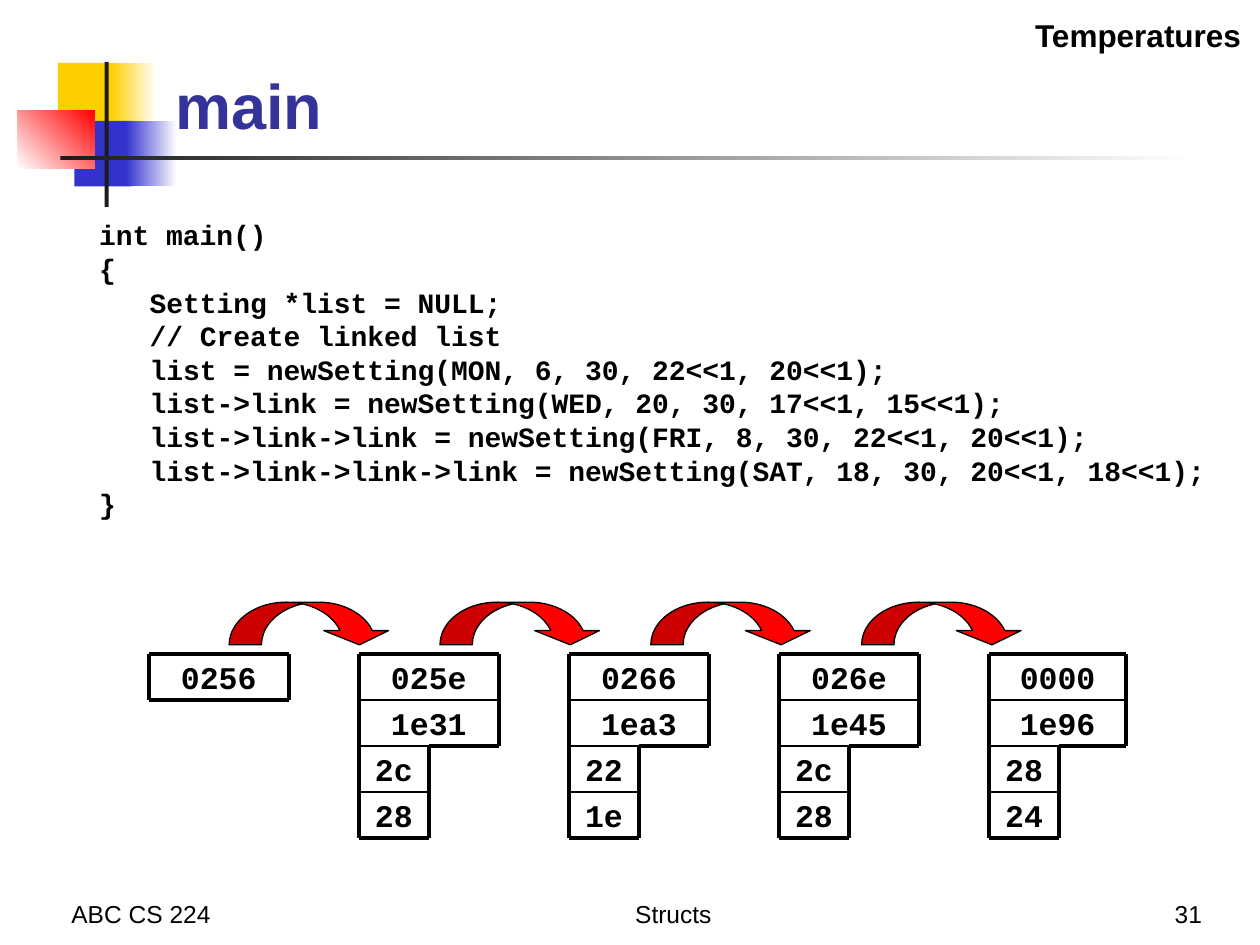
from lxml import etree
from pptx import Presentation
from pptx.dml.color import RGBColor
from pptx.enum import shapes, text
from pptx.oxml.ns import qn
from pptx.util import Cm, Pt

COLORS = {"black": "000000", "ink": "1C1C1C", "white": "FFFFFF", "yellow": "FFCF01",
          "blue": "3333CC", "red": "FF0000", "title": "333399"}

# left, top, width, height in cm, start colour, end colour, angle
DECOR = [
    (1.17, 1.27, 1.22, 1.32, "yellow", None, 0),
    (2.24, 1.27, 0.91, 1.32, "yellow", "white", 0),
    (1.5, 2.44, 1.17, 1.32, "blue", None, 0),
    (2.54, 2.44, 1.02, 1.32, "blue", "white", 0),
    (0.36, 2.22, 1.55, 1.18, "white", "red", 45),
    (2.11, 1.25, 0.08, 2.92, "ink", None, 0),
    (1.22, 3.15, 22.86, 0.08, "ink", "white", 0),
]
# indent level, code
CODE = [
    (0, "int main()"),
    (0, "{"),
    (1, "Setting *list = NULL;"),
    (1, "// Create linked list"),
    (1, "list = newSetting(MON, 6, 30, 22<<1, 20<<1);"),
    (1, "list->link = newSetting(WED, 20, 30, 17<<1, 15<<1);"),
    (1, "list->link->link = newSetting(FRI, 8, 30, 22<<1, 20<<1);"),
    (1, "list->link->link->link = newSetting(SAT, 18, 30, 20<<1, 18<<1);"),
    (0, "}"),
]
NODES = [["0256"], ["025e", "1e31", "2c", "28"], ["0266", "1ea3", "22", "1e"],
         ["026e", "1e45", "2c", "28"], ["0000", "1e96", "28", "24"]]
FOOTER = [(1.19, 5.28, "ABC CS 224", "LEFT"), (7.06, 13.03, "Structs", "CENTER"),
          (19.2, 5.28, "31", "RIGHT")]

NODE_X, NODE_Y, NODE_STEP = 3.0, 13.18, 4.235
NODE_W, LAST_W, HALF_W, ROW_H = 2.82, 2.76, 1.41, 0.93
ARROW_X, ARROW_STEP = 4.62, 4.25
CODE_INDENT = Pt(28.8)

SANS = {"name": "Arial", "size": Pt(14), "bold": False}
BOLD = {"name": "Arial", "size": Pt(18), "bold": True}
TITLE = {"name": "Arial", "size": Pt(36), "bold": True}
MONO = {"name": "Courier New", "size": Pt(16), "bold": True}
CELL = {"name": "Courier New", "size": Pt(18), "bold": True}


def rgb(name):
    """Return the named colour."""
    return RGBColor.from_string(COLORS[name])


def box(*lengths):
    """Turn centimetres into lengths."""
    return [Cm(v) for v in lengths]


def write(tf, lines, fmt, color="black", align="LEFT", anchor="TOP", margin=None):
    """Fill a text frame with (indent level, text) lines."""
    tf.word_wrap = True
    tf.vertical_anchor = getattr(text.MSO_ANCHOR, anchor)
    if margin is not None:
        for side in ("left", "top", "right", "bottom"):
            setattr(tf, "margin_" + side, margin)
    for i, (level, line) in enumerate(lines):
        p = tf.add_paragraph() if i else tf.paragraphs[0]
        p.alignment = getattr(text.PP_ALIGN, align)
        if level:
            p._p.get_or_add_pPr().set("marL", str(level * CODE_INDENT))
        r = p.add_run()
        r.text = line
        for key, value in fmt.items():
            setattr(r.font, key, value)
        r.font.color.rgb = rgb(color)


def label(s, at, lines, fmt, **options):
    """Add a text box."""
    write(s.shapes.add_textbox(*box(*at)).text_frame, lines, fmt, **options)


def line(s, x1, y1, x2, y2, width):
    """Add a straight black line."""
    c = s.shapes.add_connector(shapes.MSO_CONNECTOR.STRAIGHT, *box(x1, y1, x2, y2))
    c.line.color.rgb = rgb("black")
    c.line.width = Pt(width)
    etree.SubElement(c._element.spPr, qn("a:effectLst"))


def decor(s, x, y, w, h, start, end, angle):
    """Add a plain or graded rectangle without outline."""
    sp = s.shapes.add_shape(shapes.MSO_SHAPE.RECTANGLE, *box(x, y, w, h))
    sp.shadow.inherit = False
    sp.line.fill.background()
    if end is None:
        sp.fill.solid()
        sp.fill.fore_color.rgb = rgb(start)
        return
    sp.fill.gradient()
    sp.fill.gradient_angle = angle
    for stop, name in zip(sp.fill.gradient_stops, (start, end)):
        stop.color.rgb = rgb(name)


def node(s, x, w, values):
    """Add a list node: two wide rows, then half-width rows."""
    rows = len(values)
    widths = [w if i < 2 else HALF_W for i in range(rows)]
    ys = [NODE_Y + i * ROW_H for i in range(rows + 1)]
    for y, width, value in zip(ys, widths, values):
        label(s, (x, y, width, ROW_H), [(0, value)], CELL,
              align="CENTER", anchor="MIDDLE", margin=0)
    for y, width in zip(ys[1:-1], widths[1:]):
        line(s, x, y, x + width, y, 1)
    wide = min(rows, 2)
    outline = [(x, ys[0], x + w, ys[0]), (x, ys[0], x, ys[-1]),
               (x + w, ys[0], x + w, ys[wide]),
               (x, ys[-1], x + widths[-1], ys[-1])]
    if rows > wide:
        outline += [(x + HALF_W, ys[wide], x + w, ys[wide]),
                    (x + HALF_W, ys[wide], x + HALF_W, ys[-1])]
    for ends in outline:
        line(s, *ends, 2.25)


def arrow(s, x):
    """Add a curved link arrow."""
    sp = s.shapes.add_shape(shapes.MSO_SHAPE.CURVED_DOWN_ARROW, *box(x, 12.14, 3.28, 0.86))
    for i, value in enumerate((0.759, 1.518, 0.333)):
        sp.adjustments[i] = value
    sp.shadow.inherit = False
    sp.fill.solid()
    sp.fill.fore_color.rgb = rgb("red")
    sp.line.color.rgb = rgb("black")
    sp.line.width = Pt(0.75)


prs = Presentation()
prs.slide_width, prs.slide_height = box(25.4, 19.05)
s = prs.slides.add_slide(prs.slide_layouts[5])

for part in DECOR:
    decor(s, *part)
title = s.shapes.title
title.left, title.top, title.width, title.height = box(3.28, 0.58, 21.64, 2.41)
write(title.text_frame, [(0, "main")], TITLE, color="title", anchor="BOTTOM")
for x, w, words, align in FOOTER:
    label(s, (x, 17.58, w, 1.27), [(0, words)], SANS, align=align, anchor="BOTTOM")
label(s, (1.75, 4.27, 23.19, 6.4), CODE, MONO)
for i, values in enumerate(NODES):
    node(s, NODE_X + i * NODE_STEP, LAST_W if i == len(NODES) - 1 else NODE_W, values)
for i in range(len(NODES) - 1):
    arrow(s, ARROW_X + i * ARROW_STEP)
label(s, (15.06, 0.2, 10.21, 1.02), [(0, "Temperatures")], BOLD, align="RIGHT")

prs.save("out.pptx")
